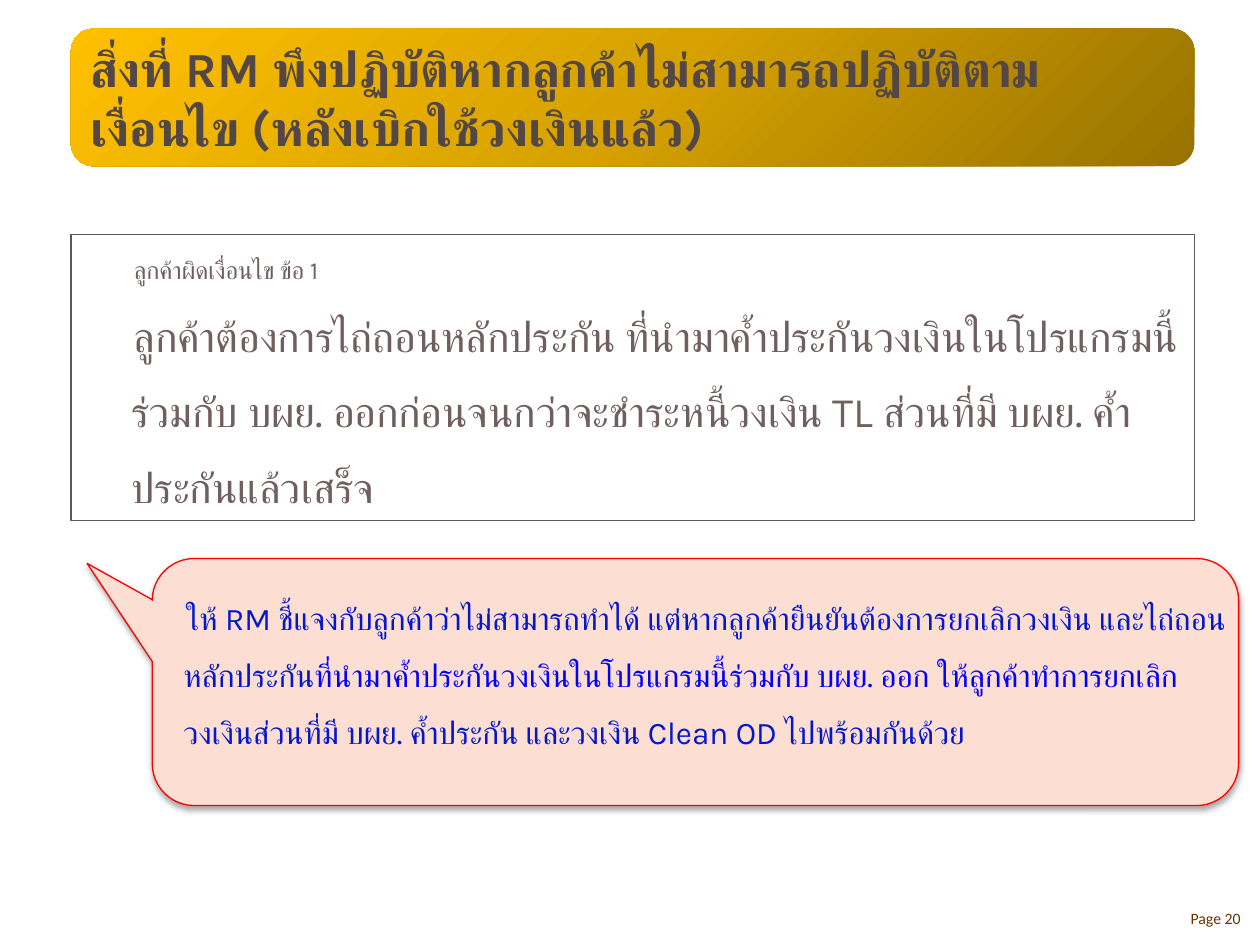
from copy import deepcopy

from lxml import etree
from pptx import Presentation
from pptx.dml.color import RGBColor
from pptx.enum.shapes import MSO_SHAPE
from pptx.enum.text import MSO_ANCHOR, MSO_AUTO_SIZE, PP_ALIGN
from pptx.oxml import parse_xml
from pptx.oxml.ns import nsdecls, qn
from pptx.util import Cm, Pt

RECT, ROUND = MSO_SHAPE.RECTANGLE, MSO_SHAPE.ROUNDED_RECTANGLE
CALLOUT = MSO_SHAPE.ROUNDED_RECTANGULAR_CALLOUT
MIDDLE, TOP = MSO_ANCHOR.MIDDLE, MSO_ANCHOR.TOP
LEFT, RIGHT = PP_ALIGN.LEFT, PP_ALIGN.RIGHT
FIXED, GROW = MSO_AUTO_SIZE.NONE, MSO_AUTO_SIZE.SHAPE_TO_FIT_TEXT

HEX = {
    "dark": "977200", "mid": "D7A200", "gold": "FFC000",
    "title": "534746", "body": "6F5F5E", "frame": "595959",
    "pink": "FCDED3", "red": "FF0000",
    "navy": "0417CA", "blue": "0000FF", "brown": "663300",
}
FONT = "Karla"
EDGE, WIDE = 1.43, 22.65  # shared left edge and width, in cm
INSET = 0.14  # keeps the title clear of the round corners

TITLE = "สิ่งที่ RM พึงปฏิบัติหากลูกค้าไม่สามารถปฏิบัติตามเงื่อนไข (หลังเบิกใช้วงเงินแล้ว)"
CASE = [
    ("ลูกค้าผิดเงื่อนไข ข้อ 1", 14),
    ("ลูกค้าต้องการไถ่ถอนหลักประกัน ที่นำมาค้ำประกันวงเงินในโปรแกรมนี้ร่วมกับ บผย. "
     "ออกก่อนจนกว่าจะชำระหนี้วงเงิน TL ส่วนที่มี บผย. ค้ำประกันแล้วเสร็จ", 24),
]
ADVICE = [
    ("ให้ RM ชี้แจงกับลูกค้าว่าไม่สามารถทำได้ แต่หากลูกค้ายืนยันต้องการยกเลิกวงเงิน "
     "และไถ่ถอนหลักประกัน", "navy"),
    ("ที่นำมาค้ำประกันวงเงินในโปรแกรมนี้ร่วมกับ บผย. ออก ให้ลูกค้าทำการยกเลิก", "blue"),
    ("วงเงินส่วนที่มี บผย. ค้ำประกัน และวงเงิน Clean OD ไปพร้อมกันด้วย", "navy"),
]


def color(name):
    return RGBColor.from_string(HEX[name])


def style(run, size, tint, face=FONT, bold=False):
    font = run.font
    font.name, font.size, font.bold = face, Pt(size), bold
    font.color.rgb = color(tint)
    # Thai letters take the complex-script font
    script = etree.SubElement(run._r.get_or_add_rPr(), qn("a:cs"))
    script.set("typeface", face)


def place(shape, x, y, w, h):
    shape.left, shape.top, shape.width, shape.height = map(Cm, (x, y, w, h))


def layout(para):
    para.alignment, para.line_spacing = LEFT, 1.5
    props = para._p.get_or_add_pPr()
    props.set("marL", str(Cm(0.97)))
    props.set("indent", str(Cm(0.05)))


def add_shape(slide, kind, box, line=None):
    shape = slide.shapes.add_shape(kind, *map(Cm, box))
    shape.shadow.inherit = False
    if line:
        shape.line.color.rgb = color(line)
        shape.line.width = Pt(0.75)
    else:
        shape.line.fill.background()
    return shape


def add_text(slide, box, size=FIXED):
    frame = slide.shapes.add_textbox(*map(Cm, box)).text_frame
    frame.word_wrap, frame.auto_size = True, size
    return frame


def add_band(slide):
    # Rounded band with a diagonal gold gradient
    band = add_shape(slide, ROUND, (EDGE, 0.58, WIDE, 2.77))
    fill = band.fill
    fill.gradient()
    fill.gradient_angle = 135
    first = next(band._element.iter(qn("a:gs")))
    first.addnext(deepcopy(first))
    for stop, name, spot in zip(fill.gradient_stops, ("dark", "mid", "gold"), (0, 0.5, 1)):
        stop.color.rgb, stop.position = color(name), spot


def add_title(slide):
    title = slide.shapes.title
    place(title, EDGE + INSET, 0.58, WIDE - 2 * INSET, 2.77)
    frame = title.text_frame
    frame.text = TITLE
    frame.word_wrap, frame.auto_size = True, FIXED
    frame.vertical_anchor = MIDDLE
    para = frame.paragraphs[0]
    para.alignment = LEFT
    style(para.runs[0], 28, "title", bold=True)
    # Bring the title in front of its band
    slide.shapes._spTree.append(title._element)


def add_case(slide):
    shape = add_shape(slide, RECT, (EDGE, 4.73, WIDE, 5.77), "frame")
    shape.fill.background()
    frame = shape.text_frame
    frame.text = "\n".join(text for text, _ in CASE)
    frame.word_wrap, frame.auto_size = True, GROW
    frame.vertical_anchor = TOP
    for para, (_, size) in zip(frame.paragraphs, CASE):
        layout(para)
        style(para.runs[0], size, "body")


def add_bubble(slide):
    shape = add_shape(slide, CALLOUT, (3.07, 11.26, 21.9, 4.98), "red")
    for i, value in enumerate((-0.56, -0.48, 0.17)):
        shape.adjustments[i] = value
    shape.fill.solid()
    shape.fill.fore_color.rgb = color("pink")
    # Soft shadow straight below
    shape._element.spPr.find(qn("a:effectLst")).append(parse_xml(
        f'<a:outerShdw {nsdecls("a")} blurRad="{Pt(3.1)}" dist="{Pt(1.8)}" '
        'dir="5400000" rotWithShape="0"><a:srgbClr val="000000">'
        '<a:alpha val="35000"/></a:srgbClr></a:outerShdw>'))


def add_advice(slide):
    para = add_text(slide, (2.48, 11.58, WIDE, 4.72), GROW).paragraphs[0]
    layout(para)
    for text, tint in ADVICE:
        run = para.add_run()
        run.text = text
        style(run, 18, tint)


def add_page(slide):
    frame = add_text(slide, (19.34, 18.2, 5.92, 1.32))
    frame.text = "Page 20"
    para = frame.paragraphs[0]
    para.alignment = RIGHT
    style(para.runs[0], 9, "brown", "Calibri")


def main():
    deck = Presentation()
    deck.slide_width, deck.slide_height = Cm(25.4), Cm(19.05)
    slide = deck.slides.add_slide(deck.slide_layouts[5])
    add_bubble(slide)
    add_page(slide)
    add_band(slide)
    add_title(slide)
    add_case(slide)
    add_advice(slide)
    deck.save("out.pptx")


if __name__ == "__main__":
    main()
